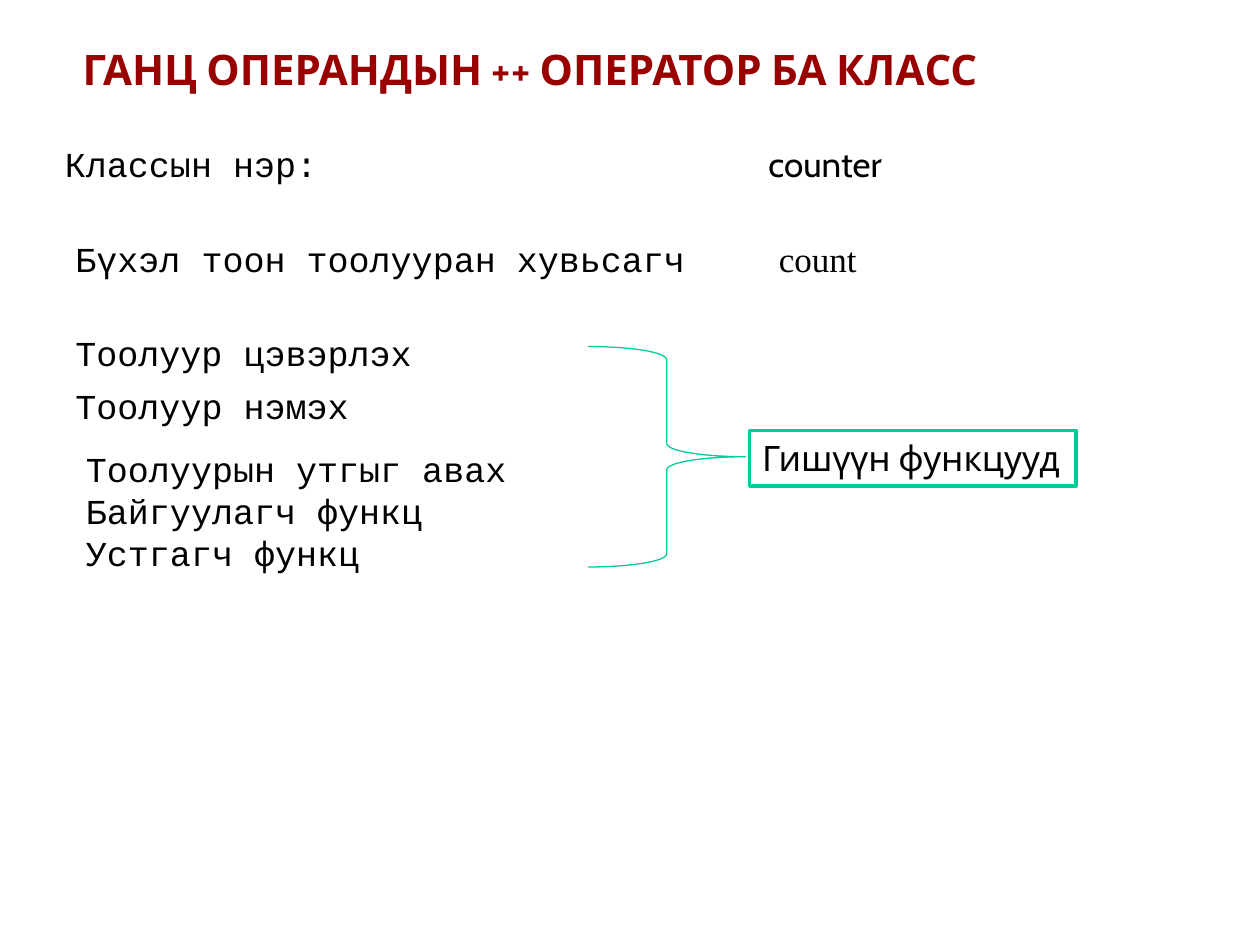
from pptx import Presentation
from pptx.dml.color import RGBColor
from pptx.enum.shapes import MSO_SHAPE as Shape
from pptx.enum.text import MSO_ANCHOR as Anchor, PP_ALIGN as Align
from pptx.util import Pt

BLACK = RGBColor(0x00, 0x00, 0x00)
WHITE = RGBColor(0xFF, 0xFF, 0xFF)
DARK_RED = RGBColor(0x99, 0x00, 0x00)
GREEN = RGBColor(0x00, 0xCC, 0x99)

CODE, SANS, SERIF = "Courier New", "Cabin", "Times New Roman"
LINE_HEIGHT = 31.7

TITLE = "ГАНЦ ОПЕРАНДЫН ++ ОПЕРАТОР БА КЛАСС"
MEMBERS_LABEL = "Гишүүн функцууд"

# lines, font, left, top, width
TEXTS = [
    (["Классын нэр:"], CODE, 30, 78, 228),
    (["counter"], SANS, 432, 78, 228),
    (["Бүхэл тоон тоолууран хувьсагч"], CODE, 36, 132, 372),
    (["count"], SERIF, 438, 132, 66),
    (["Тоолуур цэвэрлэх"], CODE, 36, 186, 324),
    (["Тоолуур нэмэх"], CODE, 36, 216, 336),
    (["Тоолуурын утгыг авах", "Байгуулагч функц", "Устгагч функц"],
     CODE, 42, 252, 300),
]


def write(shape, lines, font, align=Align.LEFT, **extra):
    """Put one paragraph per line in the shape, all in one format."""
    frame = shape.text_frame
    frame.text = "\n".join(lines)
    style = {"name": font, "size": Pt(20), **extra}
    color = style.pop("color", BLACK)
    for para in frame.paragraphs:
        para.alignment = align
        for span in para.runs:
            span.font.color.rgb = color
            for name, value in style.items():
                setattr(span.font, name, value)
    return frame


def add_box(page, left, top, width, height):
    box = page.shapes.add_textbox(Pt(left), Pt(top), Pt(width), Pt(height))
    box.text_frame.word_wrap = True
    return box


def add_outline(page, kind, left, top, width, height, weight):
    shape = page.shapes.add_shape(kind, Pt(left), Pt(top), Pt(width), Pt(height))
    shape.shadow.inherit = False
    shape.line.color.rgb = GREEN
    shape.line.width = Pt(weight)
    return shape


deck = Presentation()
deck.slide_width, deck.slide_height = Pt(720), Pt(540)
page = deck.slides.add_slide(deck.slide_layouts[6])

title = write(add_box(page, 33, 24, 654, 30), [TITLE], SANS,
              size=Pt(24), bold=True, color=DARK_RED)
title.vertical_anchor = Anchor.MIDDLE
title.margin_left = Pt(14.2)

for lines, font, left, top, width in TEXTS:
    height = LINE_HEIGHT + 24 * (len(lines) - 1)
    write(add_box(page, left, top, width, height), lines, font, Align.JUSTIFY)

brace = add_outline(page, Shape.RIGHT_BRACE, 336, 198, 90, 126, 0.75)
brace.fill.background()

members = add_outline(page, Shape.RECTANGLE, 428.4, 246, 186.5, LINE_HEIGHT, 2)
members.fill.solid()
members.fill.fore_color.rgb = WHITE
label = write(members, [MEMBERS_LABEL], SANS)
label.vertical_anchor = Anchor.TOP
label.word_wrap = False

deck.save("out.pptx")
